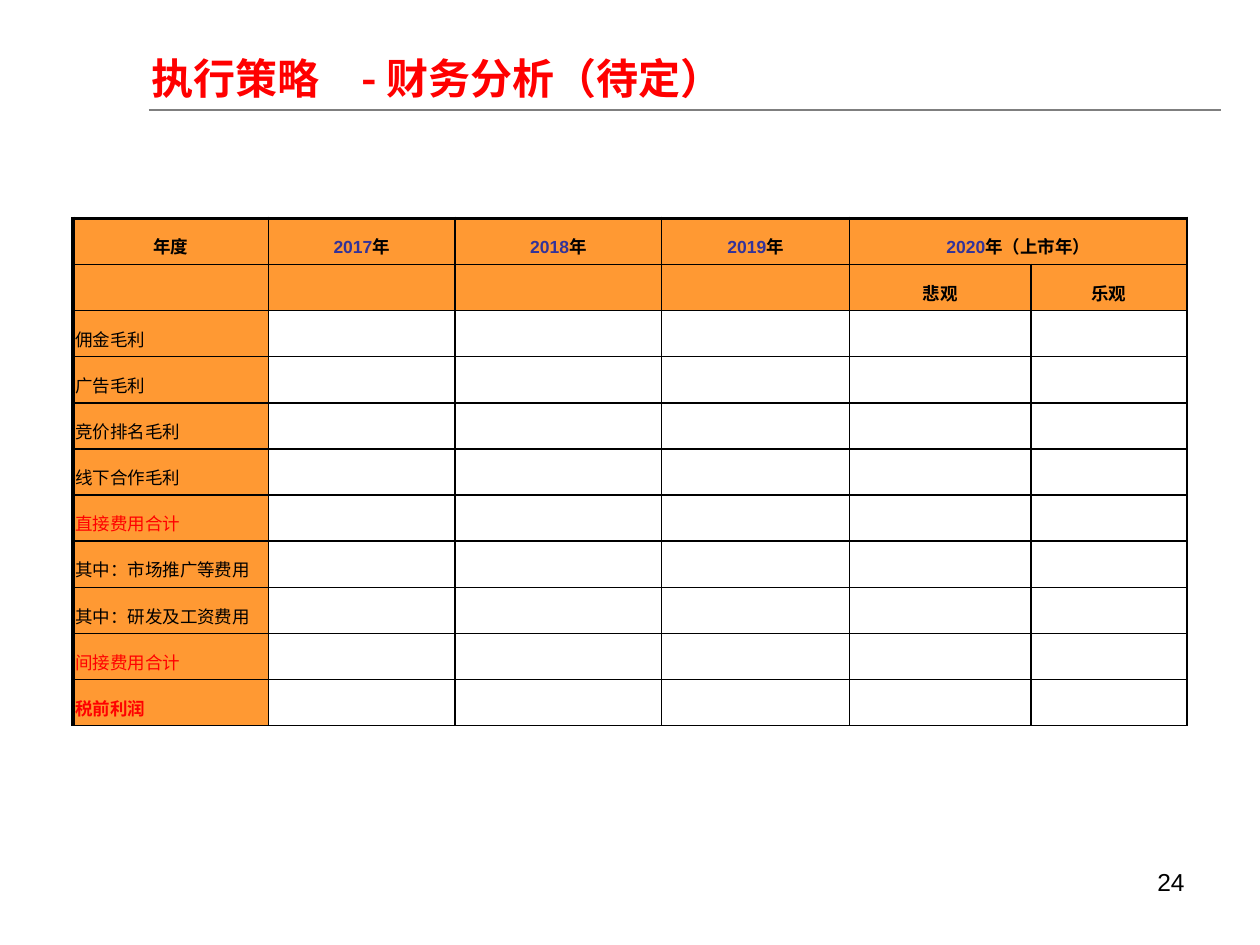
from lxml import etree
from pptx import Presentation
from pptx.dml.color import RGBColor
from pptx.enum.shapes import MSO_CONNECTOR
from pptx.enum.text import MSO_ANCHOR, PP_ALIGN
from pptx.oxml.ns import qn
from pptx.util import Cm, Pt

LEFT, CENTER, RIGHT = PP_ALIGN.LEFT, PP_ALIGN.CENTER, PP_ALIGN.RIGHT
MIDDLE, TOP = MSO_ANCHOR.MIDDLE, MSO_ANCHOR.TOP
STRAIGHT = MSO_CONNECTOR.STRAIGHT

COLORS = {
    "black": "000000",
    "red": "FF0000",
    "blue": "333399",
    "orange": "FF9933",
    "gray": "7F7F7F",
}
LATIN, CJK = "Arial", "Noto Sans CJK SC"

COLUMN_WIDTHS = [3.94, 3.76, 4.17, 3.78, 3.66, 3.15]
ROW_HEIGHT = 0.93
THIN, THICK = 1, 2.25

YEARS = [("2017", "年"), ("2018", "年"), ("2019", "年"), ("2020", "年（上市年）")]
SCENARIOS = ["悲观", "乐观"]
# Row label, colour, bold
ITEMS = [
    ("佣金毛利", "black", False),
    ("广告毛利", "black", False),
    ("竞价排名毛利", "black", False),
    ("线下合作毛利", "black", False),
    ("直接费用合计", "red", False),
    ("其中：市场推广等费用", "black", False),
    ("其中：研发及工资费用", "black", False),
    ("间接费用合计", "red", False),
    ("税前利润", "red", True),
]


def rgb(name):
    return RGBColor.from_string(COLORS[name])


def add_text(p, text, size=10, color="black", bold=False, font=LATIN,
             align=LEFT, spacing=None):
    p.alignment = align
    if spacing:
        p.line_spacing = spacing
    r = p.add_run()
    r.text = text
    r.font.size = Pt(size)
    r.font.bold = bold
    r.font.name = font
    r.font.color.rgb = rgb(color)
    ea = etree.SubElement(r._r.get_or_add_rPr(), qn("a:ea"))
    ea.set("typeface", CJK)


def add_text_box(s, left, top, width, height, text, anchor=TOP, **fmt):
    sp = s.shapes.add_textbox(Cm(left), Cm(top), Cm(width), Cm(height))
    tf = sp.text_frame
    tf.word_wrap = True
    tf.vertical_anchor = anchor
    add_text(tf.paragraphs[0], text, **fmt)


def add_rule(s, x1, x2, y):
    line = s.shapes.add_connector(STRAIGHT, Cm(x1), Cm(y), Cm(x2), Cm(y))
    line.line.color.rgb = rgb("gray")
    line.line.width = Pt(1)
    etree.SubElement(line._element.spPr, qn("a:effectLst"))


def set_borders(cell, **widths):
    tc_pr = cell._tc.get_or_add_tcPr()
    for i, side in enumerate(("L", "R", "T", "B")):
        ln = etree.Element(qn(f"a:ln{side}"), w=str(Pt(widths.get(side, THIN))))
        fill = etree.SubElement(ln, qn("a:solidFill"))
        etree.SubElement(fill, qn("a:srgbClr"), val=COLORS["black"])
        tc_pr.insert(i, ln)


def style_cell(cell, row, col):
    cell.margin_left = cell.margin_right = Cm(0.05)
    cell.margin_top = cell.margin_bottom = 0
    cell.vertical_anchor = MIDDLE
    if row < 2 or col == 0:
        cell.fill.solid()
        cell.fill.fore_color.rgb = rgb("orange")
    else:
        cell.fill.background()
    set_borders(cell, L=THIN if col else THICK, T=THIN if row else THICK)


def add_cell_text(cell, text, **fmt):
    add_text(cell.text_frame.paragraphs[0], text, spacing=1.4, **fmt)


def add_finance_table(s, left, top):
    rows, cols = len(ITEMS) + 2, len(COLUMN_WIDTHS)
    frame = s.shapes.add_table(rows, cols, Cm(left), Cm(top),
                               Cm(sum(COLUMN_WIDTHS)), Cm(rows * ROW_HEIGHT))
    table = frame.table
    table.first_row = table.horz_banding = False
    for column, width in zip(table.columns, COLUMN_WIDTHS):
        column.width = Cm(width)
    for i, row in enumerate(table.rows):
        row.height = Cm(ROW_HEIGHT)
        for j, cell in enumerate(row.cells):
            style_cell(cell, i, j)

    # Header rows
    table.cell(0, 4).merge(table.cell(0, 5))
    header = {"bold": True, "align": CENTER}
    add_cell_text(table.cell(0, 0), "年度", **header)
    for j, (year, suffix) in enumerate(YEARS, start=1):
        add_cell_text(table.cell(0, j), year, color="blue", **header)
        add_cell_text(table.cell(0, j), suffix, **header)
    for j, scenario in enumerate(SCENARIOS, start=4):
        add_cell_text(table.cell(1, j), scenario, **header)

    # Row labels
    for i, (label, color, bold) in enumerate(ITEMS, start=2):
        add_cell_text(table.cell(i, 0), label, color=color, bold=bold)


def main():
    prs = Presentation()
    prs.slide_width, prs.slide_height = Cm(25.4), Cm(19.05)
    s = prs.slides.add_slide(prs.slide_layouts[6])

    add_finance_table(s, 1.47, 4.4)
    add_text_box(s, 18.21, 17.35, 5.92, 1.32, "24", size=14, align=RIGHT)

    # Title with its rule
    add_rule(s, 3, 24.61, 2.22)
    add_text_box(s, 2.8, 0.9, 18.95, 1.34, "执行策略　- 财务分析（待定）",
                 anchor=MIDDLE, size=24, color="red", bold=True, font=CJK)

    prs.save("out.pptx")


if __name__ == "__main__":
    main()
